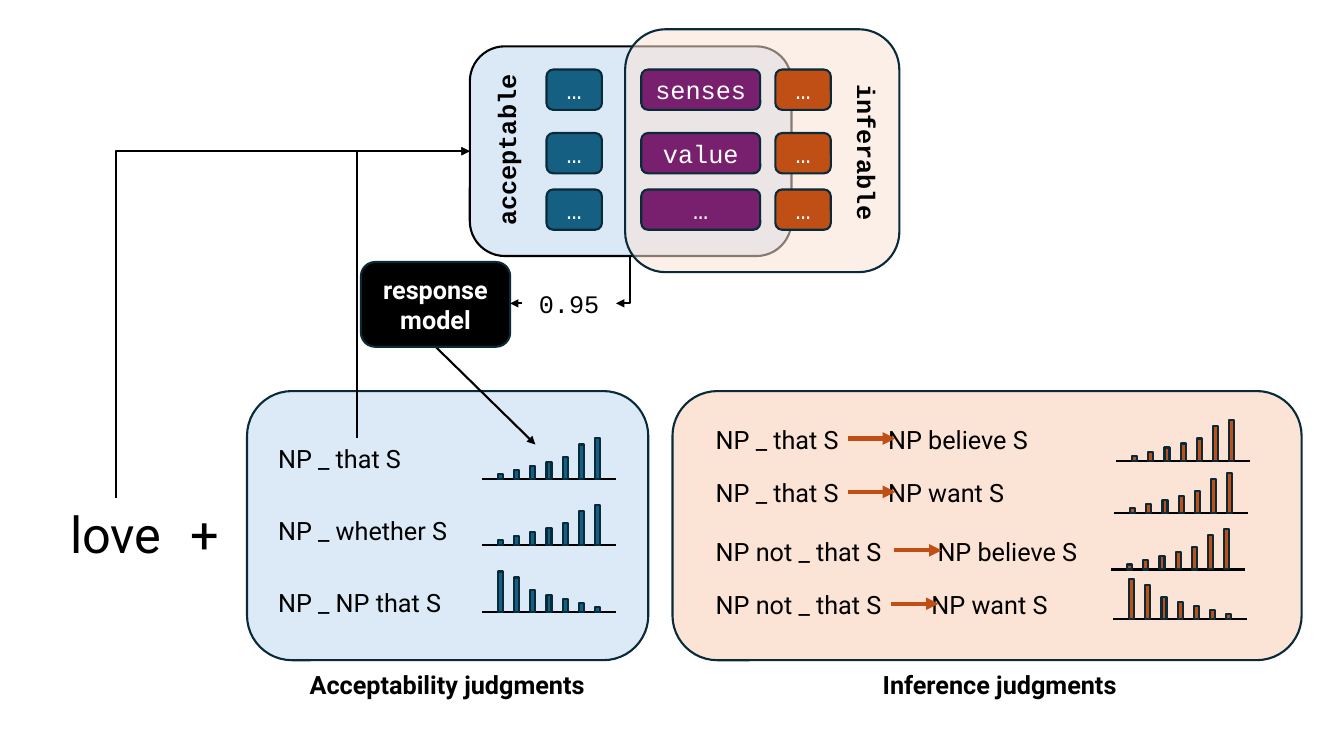
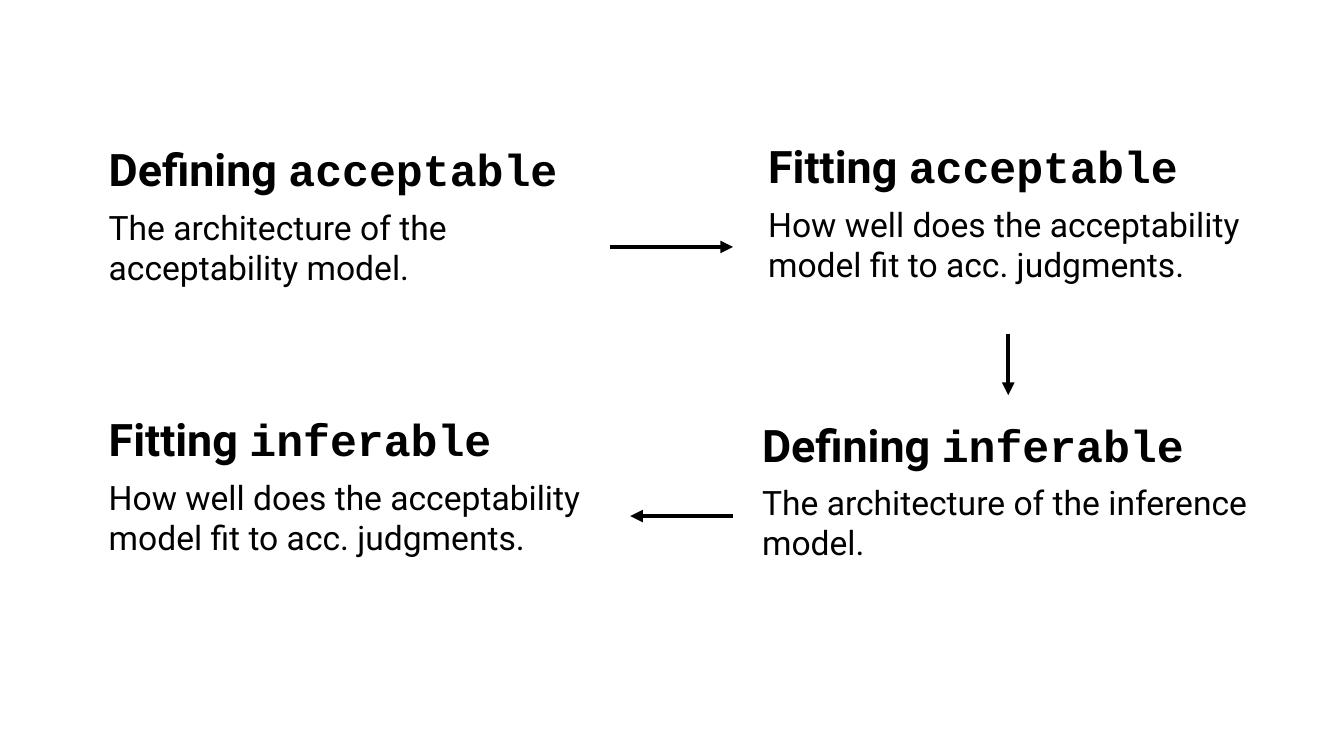
"""Build two slides on the acceptability and inference judgment models."""
from lxml import etree
from pptx import Presentation
from pptx import util as u
from pptx.dml.color import RGBColor
from pptx.enum import shapes, text
from pptx.oxml.ns import qn

PX = 9144
SANS, MONO = "Roboto", "Courier New"
BLACK, WHITE, NAVY = "000000", "FFFFFF", "092A39"
TEAL, RUST, PLUM = "156082", "C04F15", "78206E"
SKY, PALE_BLUE, PEACH = "A6CAEC", "DCEAF7", "FBE3D6"
RECT, ROUND = shapes.MSO_SHAPE.RECTANGLE, shapes.MSO_SHAPE.ROUNDED_RECTANGLE
CENTER, LEFT = text.PP_ALIGN.CENTER, text.PP_ALIGN.LEFT
rgb = RGBColor.from_string


def box(sl, x, y, w, h, lines=(), kind=None, fill=None, line=NAVY, alpha=None,
        size=18, color=BLACK, bold=False, align=LEFT, rot=0):
    """Add a preset shape, or a text box if no kind is given; lines hold (text, font) runs."""
    frame = [v * PX for v in (x, y, w, h)]
    if kind is None:
        sp = sl.shapes.add_textbox(*frame)
    else:
        sp = sl.shapes.add_shape(kind, *frame)
        sp.shadow.inherit = False
        sp.fill.solid()
        sp.fill.fore_color.rgb = rgb(fill)
        sp.line.color.rgb = rgb(line)
        sp.line.width = u.Pt(1.5)
        if alpha:
            clr = sp._element.spPr.find(qn("a:solidFill"))[0]
            etree.SubElement(clr, qn("a:alpha"), val=str(alpha * 1000))
    sp.rotation = rot
    tf = sp.text_frame
    tf.word_wrap = True
    for i, runs in enumerate(lines):
        p = tf.add_paragraph() if i else tf.paragraphs[0]
        p.alignment = align
        for words, font in runs:
            r = p.add_run()
            r.text = words
            r.font.name = font
            r.font.size = u.Pt(size)
            r.font.bold = bold
            r.font.color.rgb = rgb(color)
    return sp


def link(sl, x1, y1, x2, y2, color=BLACK, width=1.5, arrow=None, elbow=False):
    """Add a connector; arrow is headEnd or tailEnd, and an elbow runs across first."""
    kind = shapes.MSO_CONNECTOR.ELBOW if elbow else shapes.MSO_CONNECTOR.STRAIGHT
    c = sl.shapes.add_connector(kind, *[v * PX for v in (x1, y1, x2, y2)])
    c.line.color.rgb = rgb(color)
    c.line.width = u.Pt(width)
    spPr = c._element.spPr
    if elbow:
        spPr.find(qn("a:prstGeom")).set("prst", "bentConnector2")
    if arrow:
        etree.SubElement(spPr.find(qn("a:ln")), qn("a:" + arrow), type="triangle")
    etree.SubElement(spPr, qn("a:effectLst"))


prs = Presentation()
prs.slide_width, prs.slide_height = 1333 * PX, 750 * PX
blank = prs.slide_layouts[6]

sl = prs.slides.add_slide(blank)
for x, w, words in [(49, 132, "love"), (152, 103, "+")]:
    box(sl, x, 494, w, 71, [[(words, SANS)]], size=36, align=CENTER)

for x, w, fill, label_x, label in [(667, 624, PEACH, 821, "Inference judgments"),
                                   (245, 398, PALE_BLUE, 273, "Acceptability judgments")]:
    box(sl, x, 388, w, 267, kind=ROUND, fill=fill)
    box(sl, label_x, 659, 341, 40, [[(label, SANS)]], bold=True, align=CENTER)

for y, premise, conclusion, tab, arrow_x in [
        (416, "NP _ that S", "NP believe S", 171, 841),
        (469, "NP _ that S", "NP want S", 171, 841),
        (527, "NP not _ that S", "NP believe S", 220, 887),
        (580, "NP not _ that S", "NP want S", 214, 884)]:
    sp = box(sl, 700, y, 408, 40, [[(premise + "\t" + conclusion, SANS)]])
    pPr = sp.text_frame.paragraphs[0]._p.get_or_add_pPr()
    tabs = etree.SubElement(pPr, qn("a:tabLst"))
    etree.SubElement(tabs, qn("a:tab"), pos=str(tab * PX), algn="l")
    link(sl, arrow_x, y + 19, arrow_x + 47, y + 19, RUST, 3, "tailEnd")

for y, words in [(435, "NP _ that S"), (506, "NP _ whether S"), (578, "NP _ NP that S")]:
    box(sl, 266, y, 200, 40, [[(words, SANS)]])

rising = [5, 9, 13, 17, 22, 34, 40]
falling = rising[::-1]
for x, y, heights, fill in [
        (1107, 457, rising, RUST), (1105, 509, rising, RUST),
        (1102, 565, rising, RUST), (1104, 614, falling, RUST),
        (478, 475, rising, TEAL), (478, 541, rising, TEAL), (478, 607, falling, TEAL)]:
    link(sl, x, y, x + 133, y)
    for i, h in enumerate(heights):
        box(sl, x + 16 + 16 * i, y - h, 5, h, kind=RECT, fill=fill)

box(sl, 466, 46, 319, 208, kind=ROUND, fill=SKY, line=BLACK, alpha=40)
box(sl, 620, 29, 272, 241, kind=ROUND, fill=PEACH, alpha=54)
for x, y, words, rot in [(410, 129, "acceptable", 270), (768, 131, "inferable", 90)]:
    box(sl, x, y, 184, 40, [[(words, MONO)]], bold=True, align=CENTER, rot=rot)

for x, w, fill, column in [(542, 55, TEAL, ["…", "…", "…"]),
                           (769, 55, RUST, ["…", "…", "…"]),
                           (636, 118, PLUM, ["senses", "value", "…"])]:
    for y, words in zip([69, 132, 188], column):
        box(sl, x, y, w, 40, [[(words, MONO)]], ROUND, fill, color=WHITE, align=CENTER)

box(sl, 518, 281, 93, 40, [[("0.95", MONO)]], align=CENTER)
link(sl, 432, 344, 531, 441, arrow="tailEnd")
box(sl, 358, 260, 148, 84, [[("response", SANS)], [("model", SANS)]], ROUND, BLACK,
    color=WHITE, bold=True, align=CENTER)
link(sl, 518, 301, 506, 301, arrow="tailEnd")
for ends in [(611, 301, 625, 253), (466, 150, 115, 494), (466, 150, 354, 435)]:
    link(sl, *ends, arrow="headEnd", elbow=True)

sl = prs.slides.add_slide(blank)
fit = "How well does the acceptability model fit to acc. judgments."
for x, y, w, step, name, body in [
        (98, 136, 490, "Defining ", "acceptable", "The architecture of the acceptability model."),
        (752, 133, 503, "Fitting ", "acceptable", fit),
        (746, 409, 568, "Defining ", "inferable", "The architecture of the inference model."),
        (98, 404, 522, "Fitting ", "inferable", fit)]:
    box(sl, x, y, 508, 64, [[(step, SANS), (name, MONO)]], size=32, bold=True)
    box(sl, x, y + 64, w, 91, [[(body, SANS)]], size=24)
for ends in [(605, 245, 727, 245), (1000, 331, 1000, 392), (727, 512, 625, 512)]:
    link(sl, *ends, width=3, arrow="tailEnd")

prs.save("out.pptx")
